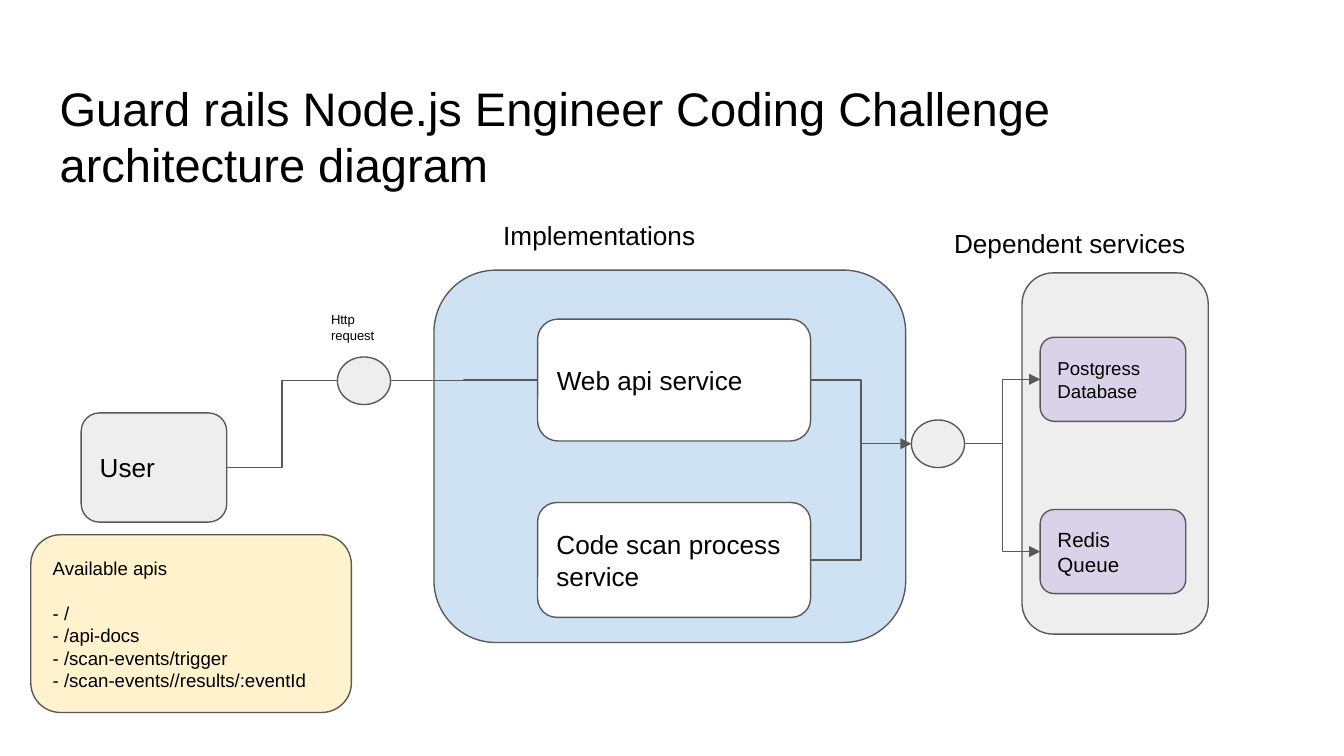
import pptx
import pptx.dml.color
import pptx.enum.shapes
import pptx.enum.text
import pptx.oxml
import pptx.oxml.ns
import pptx.util

PX = 9525
FONT = "Arial"
COLORS = {
    "text": "000000",
    "line": "595959",
    "implementation": "CFE2F3",
    "neutral": "EEEEEE",
    "service": "FFFFFF",
    "storage": "D9D2E9",
    "note": "FFF2CC",
}
ROUNDED = pptx.enum.shapes.MSO_SHAPE.ROUNDED_RECTANGLE
OVAL = pptx.enum.shapes.MSO_SHAPE.OVAL
TOP = pptx.enum.text.MSO_ANCHOR.TOP
MIDDLE = pptx.enum.text.MSO_ANCHOR.MIDDLE


def color(name):
    return pptx.dml.color.RGBColor.from_string(COLORS[name])


def to_emu(box):
    return [value * PX for value in box]


def inside(box, left, top, width, height):
    return box[0] + left, box[1] + top, width, height


def write(shape, lines, size, anchor=TOP):
    frame = shape.text_frame
    frame.word_wrap = True
    frame.auto_size = pptx.enum.text.MSO_AUTO_SIZE.NONE
    frame.vertical_anchor = anchor
    frame.margin_left = frame.margin_right = pptx.util.Inches(0.1)
    frame.margin_top = frame.margin_bottom = pptx.util.Inches(0.1)
    frame.text = "\n".join(lines)
    for paragraph in frame.paragraphs:
        paragraph.alignment = pptx.enum.text.PP_ALIGN.LEFT
        paragraph.font.name = FONT
        paragraph.font.size = pptx.util.Pt(size)
        paragraph.font.color.rgb = color("text")


def add_node(slide, kind, box, fill, lines=(), size=14, anchor=MIDDLE):
    shape = slide.shapes.add_shape(kind, *to_emu(box))
    shape.shadow.inherit = False
    shape.fill.solid()
    shape.fill.fore_color.rgb = color(fill)
    shape.line.color.rgb = color("line")
    shape.line.width = pptx.util.Pt(0.75)
    if lines:
        write(shape, lines, size, anchor)
    return shape


def add_label(slide, box, text, size):
    write(slide.shapes.add_textbox(*to_emu(box)), [text], size)


def add_link(slide, source, target, arrow=False):
    connector = slide.shapes.add_connector(
        pptx.enum.shapes.MSO_CONNECTOR.ELBOW,
        source.left + source.width,
        source.top + source.height // 2,
        target.left,
        target.top + target.height // 2,
    )
    connector.line.color.rgb = color("line")
    connector.line.width = pptx.util.Pt(0.75)
    if arrow:
        line = connector.line._get_or_add_ln()
        head = pptx.oxml.parse_xml(
            f'<a:tailEnd {pptx.oxml.ns.nsdecls("a")} type="triangle"/>'
        )
        line.append(head)
    effects = pptx.oxml.parse_xml(f'<a:effectLst {pptx.oxml.ns.nsdecls("a")}/>')
    connector._element.spPr.append(effects)


def place_title(slide, box):
    title = slide.shapes.title
    title.left, title.top, title.width, title.height = to_emu(box)
    text = "Guard rails Node.js Engineer Coding Challenge architecture diagram"
    write(title, [text], 25.2)


def add_client(slide, box):
    user = add_node(slide, ROUNDED, inside(box, 36, 82, 104, 78), "neutral", ["User"])
    request = add_node(slide, OVAL, inside(box, 219, 42, 38, 34), "neutral")
    add_label(slide, inside(box, 205, 0, 64, 42), "Http request", 7)
    apis = [
        "Available apis",
        "- /",
        "- /api-docs",
        "- /scan-events/trigger",
        "- /scan-events//results/:eventId",
    ]
    note = add_node(
        slide, ROUNDED, inside(box, 0, 169, 229, 127), "note", apis, 10, TOP
    )
    note.text_frame.paragraphs[0].space_after = pptx.util.Pt(12)
    add_link(slide, user, request)
    return request


def add_implementations(slide, box):
    add_label(slide, inside(box, 40, -46, 255, 42), "Implementations", 14)
    add_node(slide, ROUNDED, box, "implementation")
    services = [("Web api service", 35, 87), ("Code scan process service", 166, 82)]
    return [
        add_node(slide, ROUNDED, inside(box, 74, top, 195, height), "service", [text])
        for text, top, height in services
    ]


def add_dependent_services(slide, box):
    add_label(slide, inside(box, -58, -42, 255, 42), "Dependent services", 14)
    add_node(slide, ROUNDED, box, "neutral")
    stores = [("Postgress Database", 46, 10), ("Redis Queue", 169, 11)]
    return [
        add_node(slide, ROUNDED, inside(box, 13, top, 104, 60), "storage", [text], size)
        for text, top, size in stores
    ]


def build_architecture_slide(presentation):
    slide = presentation.slides.add_slide(presentation.slide_layouts[5])
    place_title(slide, (33, 47, 895, 60))
    web_api, code_scan = add_implementations(slide, (310, 193, 337, 266))
    stores = add_dependent_services(slide, (730, 195, 133, 258))
    request = add_client(slide, (22, 213, 257, 296))
    gateway = add_node(slide, OVAL, (651, 300, 38, 34), "neutral")
    add_link(slide, request, web_api)
    add_link(slide, web_api, gateway, arrow=True)
    add_link(slide, code_scan, gateway)
    for store in stores:
        add_link(slide, gateway, store, arrow=True)


def main():
    presentation = pptx.Presentation()
    presentation.slide_width = 960 * PX
    presentation.slide_height = 540 * PX
    build_architecture_slide(presentation)
    presentation.save("out.pptx")


if __name__ == "__main__":
    main()
